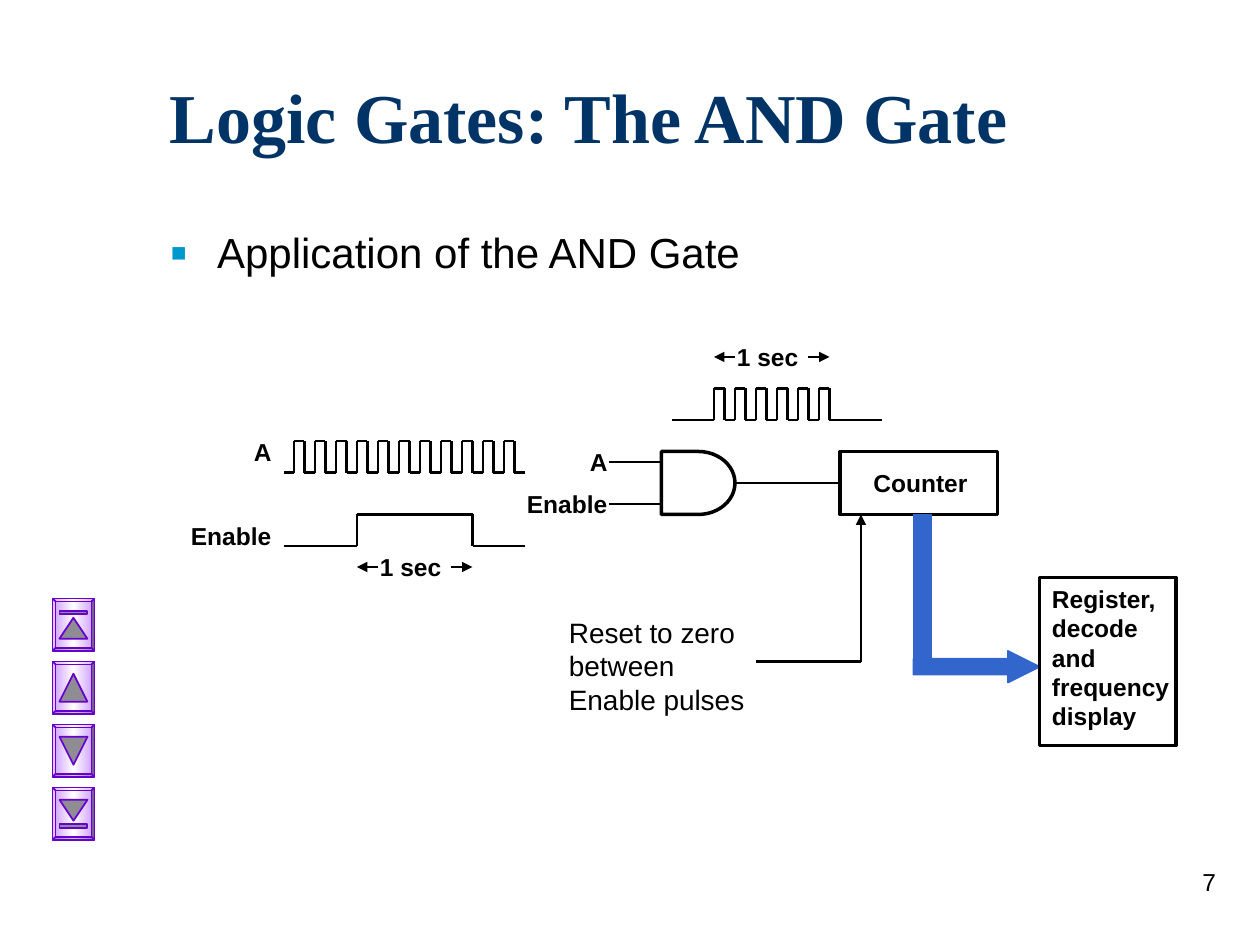
from itertools import pairwise
from typing import NamedTuple

from lxml import etree
from pptx import Presentation
from pptx.dml.color import RGBColor
from pptx.enum import shapes, text
from pptx.oxml import ns
from pptx.util import Pt

BLACK = RGBColor(0x00, 0x00, 0x00)
NAVY = RGBColor(0x00, 0x33, 0x66)
BLUE = RGBColor(0x33, 0x66, 0xCC)
PURPLE = RGBColor(0x66, 0x00, 0xCC)
LILAC = RGBColor(0xCC, 0x99, 0xFF)
WHITE = RGBColor(0xFF, 0xFF, 0xFF)
GREY = RGBColor(0x90, 0x8C, 0x94)
BULLET_COLOR = "0099CC"

HALF_PERIOD = 6
RECT = shapes.MSO_SHAPE.RECTANGLE


class Wave(NamedTuple):
    start: float
    first_rise: float
    end: float
    base: float
    height: float
    pulses: int
    pulse_width: float


class Label(NamedTuple):
    text: str
    left: float
    top: float
    width: float
    height: float = 24


class NavButton(NamedTuple):
    points_up: bool
    triangle_top: float
    triangle_height: float
    bar_top: float | None = None


WAVES = [
    Wave(384, 408, 504, 240, 18, 6, HALF_PERIOD),
    Wave(162, 168, 300, 270, 18, 11, HALF_PERIOD),
    Wave(162, 204, 300, 312, 18, 1, 66),
]
LABELS = [
    Label("1 sec", 414, 192, 54),
    Label("A", 138, 246, 24),
    Label("1 sec", 210, 312, 54),
    Label("Enable", 102, 294, 66),
    Label("A", 330, 252, 24),
    Label("Enable", 294, 276, 66),
    Label("Counter", 492, 264, 72),
    Label("Register, decode and frequency display", 594, 330, 84, 92),
]
NAV_BUTTONS = [
    NavButton(True, 11, 12, bar_top=7),
    NavButton(True, 7, 16),
    NavButton(False, 7, 16),
    NavButton(False, 7, 12, bar_top=21),
]


def add_text(page, content, left, top, width, height, *, size=14, bold=False,
             color=BLACK, font="Arial", align=None,
             anchor=text.MSO_ANCHOR.TOP, bullet=False):
    box = page.shapes.add_textbox(Pt(left), Pt(top), Pt(width), Pt(height))
    frame = box.text_frame
    frame.word_wrap = True
    frame.vertical_anchor = anchor
    para = frame.paragraphs[0]
    if bullet:
        add_bullet(para)
    if align is not None:
        para.alignment = align
    span = para.add_run()
    span.text = content
    span.font.size = Pt(size)
    span.font.bold = bold
    span.font.name = font
    span.font.color.rgb = color


def add_bullet(para) -> None:
    props = para._p.get_or_add_pPr()
    props.set("marL", str(Pt(27)))
    props.set("indent", str(-Pt(27)))
    color = etree.SubElement(props, ns.qn("a:buClr"))
    etree.SubElement(color, ns.qn("a:srgbClr"), val=BULLET_COLOR)
    etree.SubElement(props, ns.qn("a:buSzPct"), val="120000")
    etree.SubElement(props, ns.qn("a:buFont"), typeface="Arial")
    etree.SubElement(props, ns.qn("a:buChar"), char="▪")


def add_line(page, start: tuple, end: tuple, weight: float = 1.5,
             arrow: bool = False):
    line = page.shapes.add_connector(
        shapes.MSO_CONNECTOR.STRAIGHT, *(Pt(value) for value in start + end))
    line.line.color.rgb = BLACK
    line.line.width = Pt(weight)
    props = line._element.spPr
    if arrow:
        etree.SubElement(props.find(ns.qn("a:ln")), ns.qn("a:tailEnd"),
                         type="triangle")
    etree.SubElement(props, ns.qn("a:effectLst"))
    return line


def add_wave(page, wave: Wave) -> None:
    """Draw a square wave as a chain of straight lines."""
    high = wave.base - wave.height
    points = [(wave.start, wave.base)]
    for index in range(wave.pulses):
        rise = wave.first_rise + index * 2 * HALF_PERIOD
        fall = rise + wave.pulse_width
        points += [(rise, wave.base), (rise, high),
                   (fall, high), (fall, wave.base)]
    points.append((wave.end, wave.base))
    for start, end in pairwise(points):
        add_line(page, start, end)


def add_span_arrows(page, left: float, right: float, y: float) -> None:
    """Draw the two outward arrows that mark a duration."""
    add_line(page, (left + 12, y), (left, y), weight=1, arrow=True)
    add_line(page, (right - 12, y), (right, y), weight=1, arrow=True)


def add_block(page, kind, left: float, top: float, width: float, height: float,
              *, fill=None, line=BLACK, weight: float = 2):
    block = page.shapes.add_shape(kind, Pt(left), Pt(top), Pt(width), Pt(height))
    block.shadow.inherit = False
    if fill is None:
        block.fill.background()
    else:
        block.fill.solid()
        block.fill.fore_color.rgb = fill
    block.line.color.rgb = line
    block.line.width = Pt(weight)
    return block


def add_nav_button(page, button: NavButton, left: float, top: float) -> None:
    style = {"line": PURPLE, "weight": 1}
    frame = add_block(page, shapes.MSO_SHAPE.BEVEL, left, top, 24, 30,
                      fill=LILAC, **style)
    frame.adjustments[0] = 0.07
    frame.fill.gradient()
    frame.fill.gradient_angle = 0
    stops = frame._element.spPr.find(".//" + ns.qn("a:gsLst"))
    etree.SubElement(stops, ns.qn("a:gs"), pos="100000")
    for stop, position, color in zip(frame.fill.gradient_stops, (0, 0.5, 1),
                                     (LILAC, WHITE, LILAC)):
        stop.position = position
        stop.color.rgb = color
    triangle = add_block(page, shapes.MSO_SHAPE.ISOSCELES_TRIANGLE, left + 4,
                         top + button.triangle_top, 16, button.triangle_height,
                         fill=GREY, **style)
    triangle.rotation = 0 if button.points_up else 180
    if button.bar_top is not None:
        add_block(page, RECT, left + 4, top + button.bar_top, 16, 2,
                  fill=GREY, **style)


def main() -> None:
    deck = Presentation()
    deck.slide_width, deck.slide_height = Pt(720), Pt(540)
    page = deck.slides.add_slide(deck.slide_layouts[6])

    add_text(page, "Logic Gates: The AND Gate", 90, 36, 612, 60, size=40,
             bold=True, color=NAVY, font="Times New Roman",
             anchor=text.MSO_ANCHOR.MIDDLE)
    add_text(page, "Application of the AND Gate", 90, 126, 598, 48, size=24,
             bullet=True)

    for wave in WAVES:
        add_wave(page, wave)
    add_span_arrows(page, 408, 474, 204)
    add_span_arrows(page, 204, 270, 324)

    gate = add_block(page, shapes.MSO_SHAPE.FLOWCHART_DELAY, 378, 258, 42, 36)
    counter = add_block(page, RECT, 480, 258, 90, 36)
    for input_y in (264, 288):
        add_line(page, (348, input_y), (378, input_y))
    output = add_line(page, (420, 276), (480, 276))
    output.begin_connect(gate, 3)
    output.end_connect(counter, 1)

    add_text(page, "Reset to zero between Enable pulses", 318, 348, 126, 65,
             size=16)
    add_line(page, (432, 378), (492, 378))
    add_line(page, (492, 378), (492, 294), arrow=True)

    bus = {"fill": BLUE, "line": BLUE, "weight": 1}
    add_block(page, RECT, 522, 294, 10, 90, **bus)
    bus_arrow = add_block(page, shapes.MSO_SHAPE.RIGHT_ARROW, 522, 372, 72, 18,
                          **bus)
    bus_arrow.adjustments[0], bus_arrow.adjustments[1] = 0.5, 1
    add_block(page, RECT, 594, 330, 78, 96)

    for label in LABELS:
        add_text(page, *label, bold=True)
    for index, button in enumerate(NAV_BUTTONS):
        add_nav_button(page, button, 30, 342 + 36 * index)
    add_text(page, "7", 552, 492, 150, 36, align=text.PP_ALIGN.RIGHT)

    deck.save("out.pptx")


if __name__ == "__main__":
    main()
